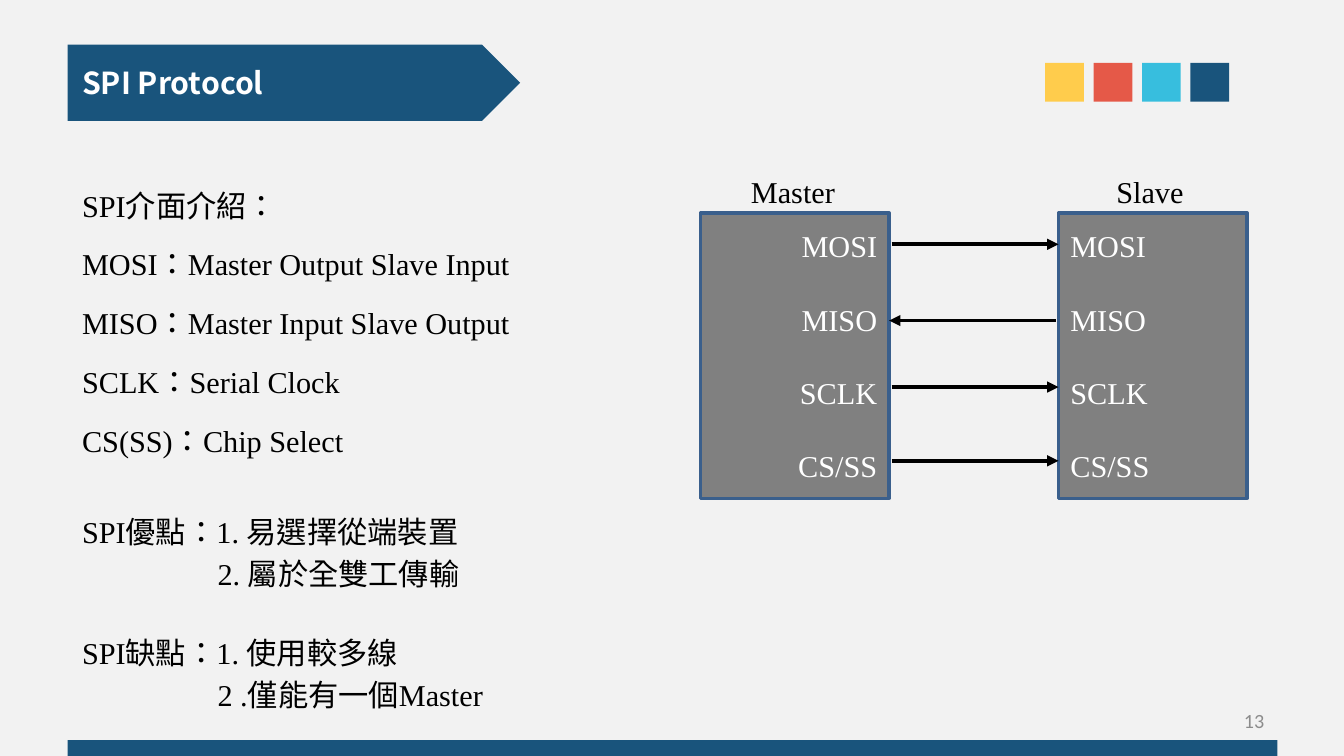
from dataclasses import dataclass

from lxml import etree
from pptx import Presentation
from pptx.dml.color import RGBColor
from pptx.enum.lang import MSO_LANGUAGE_ID
from pptx.enum.shapes import MSO_CONNECTOR, MSO_SHAPE
from pptx.enum.text import MSO_ANCHOR, PP_ALIGN
from pptx.oxml.ns import qn
from pptx.shapes.autoshape import Shape
from pptx.slide import Slide
from pptx.text.text import TextFrame
from pptx.util import Inches, Pt

RECTANGLE = MSO_SHAPE.RECTANGLE
PENTAGON = MSO_SHAPE.PENTAGON
STRAIGHT = MSO_CONNECTOR.STRAIGHT
LEFT = PP_ALIGN.LEFT
RIGHT = PP_ALIGN.RIGHT
TOP = MSO_ANCHOR.TOP
MIDDLE = MSO_ANCHOR.MIDDLE
TAIWAN = MSO_LANGUAGE_ID.TRADITIONAL_CHINESE


@dataclass(frozen=True)
class Theme:
    background: str = "F2F2F2"
    navy: str = "19547C"
    yellow: str = "FFCC4C"
    red: str = "E55948"
    cyan: str = "37BEDE"
    gray: str = "808080"
    outline: str = "3A5F8C"
    black: str = "000000"
    white: str = "FFFFFF"
    muted: str = "8C8C8C"
    body_font: str = "Times New Roman"
    chinese_font: str = "Noto Sans CJK SC"
    number_font: str = "Calibri"
    body_size: float = 18
    number_size: float = 12


@dataclass(frozen=True)
class Area:
    left: float
    top: float
    width: float
    height: float


@dataclass(frozen=True)
class Style:
    color: str
    font: str
    size: float
    bold: bool = False


@dataclass(frozen=True)
class Line:
    text: str
    align: PP_ALIGN = LEFT
    spacing: float | None = None
    before: float = 0
    indent: float = 0


@dataclass(frozen=True)
class Device:
    name: str
    left: float
    label_left: float
    align: PP_ALIGN


@dataclass(frozen=True)
class Signal:
    name: str
    start: float
    end: float
    height: float


THEME = Theme()
BODY = Style(THEME.black, THEME.body_font, THEME.body_size)
PIN = Style(THEME.white, THEME.body_font, THEME.body_size)
TITLE = Style(THEME.white, THEME.chinese_font, THEME.body_size, True)
NUMBER = Style(THEME.muted, THEME.number_font, THEME.number_size)

SQUARES = (THEME.yellow, THEME.red, THEME.cyan, THEME.navy)
DEVICES = (
    Device("Master", 5.79, 6.11, RIGHT),
    Device("Slave", 8.75, 9.13, LEFT),
)
SIGNALS = (
    Signal("MOSI", 7.37, 8.75, 2.02),
    Signal("MISO", 8.73, 7.35, 2.65),
    Signal("SCLK", 7.37, 8.75, 3.2),
    Signal("CS/SS", 7.37, 8.75, 3.81),
)
INTRODUCTION = (
    "SPI介面介紹：",
    "MOSI：Master Output Slave Input",
    "MISO：Master Input Slave Output",
    "SCLK：Serial Clock",
    "CS(SS)：Chip Select",
)
ITEM_INDENT = 1.12
BLANK_LINE = 22
ASSESSMENT = (
    Line("SPI優點：1. 易選擇從端裝置", spacing=25),
    Line("2. 屬於全雙工傳輸", spacing=25, indent=ITEM_INDENT),
    Line("SPI缺點：1. 使用較多線", spacing=25, before=BLANK_LINE),
    Line("2 .僅能有一個Master", spacing=25, indent=ITEM_INDENT),
)


def write(frame: TextFrame, lines: list[Line], style: Style) -> None:
    for index, line in enumerate(lines):
        para = frame.add_paragraph() if index else frame.paragraphs[0]
        para.alignment = line.align
        para.space_before = Pt(line.before)
        if line.spacing:
            para.line_spacing = Pt(line.spacing)
        if line.indent:
            properties = para._p.get_or_add_pPr()
            properties.set("marL", str(Inches(line.indent)))
            properties.set("indent", "0")
        span = para.add_run()
        span.text = line.text
        span.font.name = style.font
        span.font.size = Pt(style.size)
        span.font.bold = style.bold
        span.font.color.rgb = RGBColor.from_string(style.color)
        span.font.language_id = TAIWAN
        latin = span.font._element.find(qn("a:latin"))
        east_asian = etree.Element(qn("a:ea"), typeface=THEME.chinese_font)
        latin.addnext(east_asian)


def add_text(page: Slide, area: Area, lines: list[Line], style: Style,
             wrap: bool = True, anchor: MSO_ANCHOR = TOP) -> None:
    box = page.shapes.add_textbox(Inches(area.left), Inches(area.top),
                                  Inches(area.width), Inches(area.height))
    box.text_frame.word_wrap = wrap
    box.text_frame.vertical_anchor = anchor
    write(box.text_frame, lines, style)


def add_block(page: Slide, area: Area, fill: str,
              kind: MSO_SHAPE = RECTANGLE) -> Shape:
    block = page.shapes.add_shape(kind, Inches(area.left), Inches(area.top),
                                  Inches(area.width), Inches(area.height))
    block.shadow.inherit = False
    block.fill.solid()
    block.fill.fore_color.rgb = RGBColor.from_string(fill)
    block.line.fill.background()
    return block


def add_device(page: Slide, device: Device) -> None:
    block = add_block(page, Area(device.left, 1.76, 1.56, 2.36), THEME.gray)
    block.line.color.rgb = RGBColor.from_string(THEME.outline)
    block.line.width = Pt(2)
    block.text_frame.vertical_anchor = MIDDLE
    pins = [Line(signal.name, device.align, before=BLANK_LINE if index else 0)
            for index, signal in enumerate(SIGNALS)]
    write(block.text_frame, pins, PIN)
    add_text(page, Area(device.label_left, 1.38, 1.26, 0.4), [Line(device.name)], BODY)


def add_arrow(page: Slide, signal: Signal) -> None:
    arrow = page.shapes.add_connector(STRAIGHT, Inches(signal.start), Inches(signal.height),
                                      Inches(signal.end), Inches(signal.height))
    arrow.line.color.rgb = RGBColor.from_string(THEME.black)
    arrow.line.width = Pt(2.25)
    etree.SubElement(arrow.line._get_or_add_ln(), qn("a:tailEnd"), type="triangle")
    etree.SubElement(arrow._element.spPr, qn("a:effectLst"))


def main() -> None:
    deck = Presentation()
    deck.slide_width = Inches(11.11)
    deck.slide_height = Inches(6.25)
    page = deck.slides.add_slide(deck.slide_layouts[6])
    page.background.fill.solid()
    page.background.fill.fore_color.rgb = RGBColor.from_string(THEME.background)

    add_block(page, Area(0.56, 0.37, 3.74, 0.63), THEME.navy, PENTAGON)
    add_text(page, Area(0.58, 0.48, 1.76, 0.4), [Line("SPI Protocol")], TITLE, wrap=False)
    add_block(page, Area(0.56, 6.12, 10, 0.16), THEME.navy)
    for index, color in enumerate(SQUARES):
        add_block(page, Area(8.64 + 0.4 * index, 0.52, 0.32, 0.32), color)

    introduction = [Line(text, spacing=35) for text in INTRODUCTION]
    add_text(page, Area(0.58, 1.31, 5.29, 2.49), introduction, BODY)
    add_text(page, Area(0.58, 4.15, 4.37, 1.81), list(ASSESSMENT), BODY)

    for device in DEVICES:
        add_device(page, device)
    for signal in SIGNALS:
        add_arrow(page, signal)
    add_text(page, Area(7.96, 5.79, 2.59, 0.33), [Line("13", RIGHT)], NUMBER, anchor=MIDDLE)
    deck.save("out.pptx")


if __name__ == "__main__":
    main()
